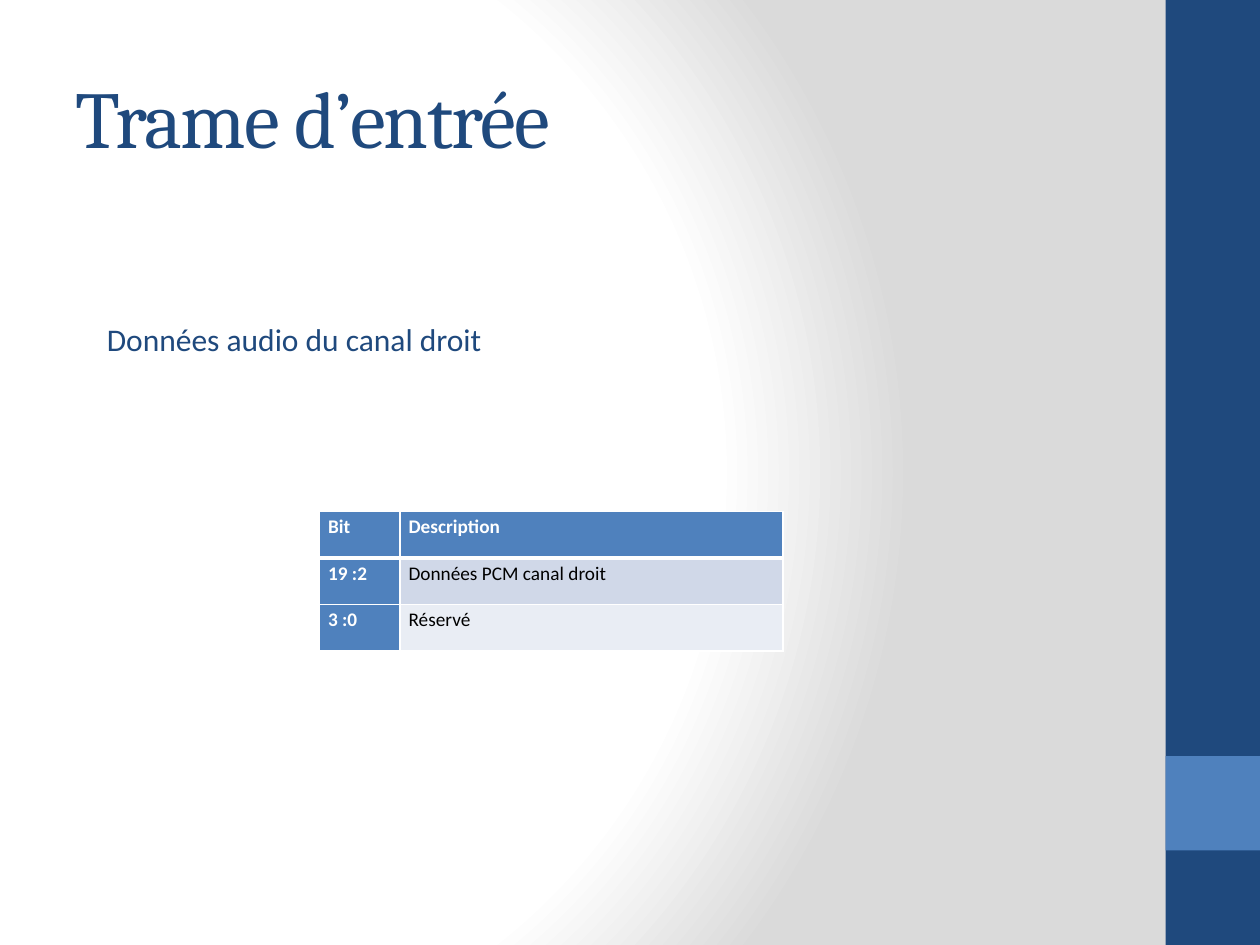
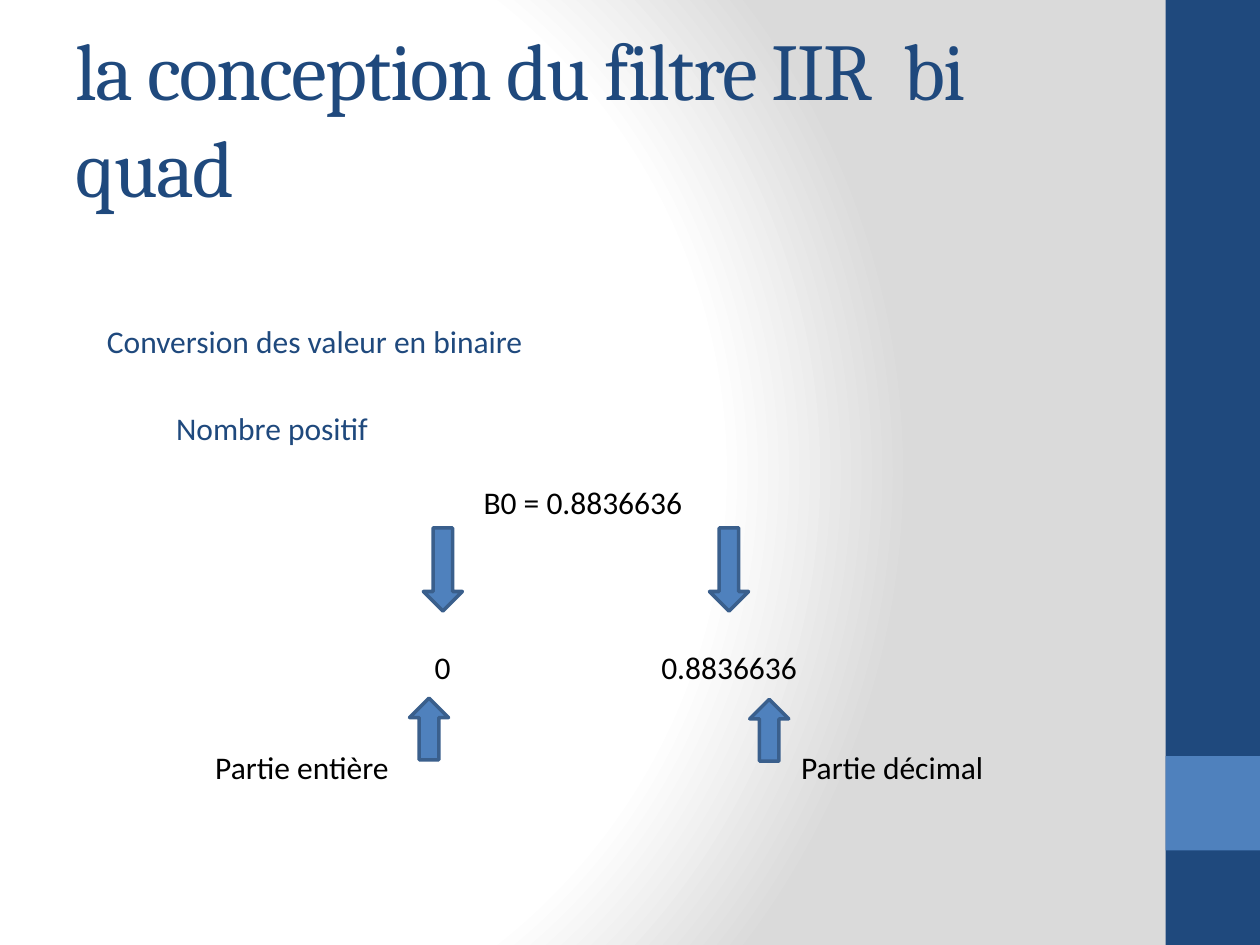
from pptx import Presentation
from pptx import oxml as ox
from pptx.dml.color import RGBColor
from pptx.enum import shapes as sh, text as tx
from pptx.oxml import ns
from pptx.util import Pt

NAVY = RGBColor(0x1F, 0x49, 0x7D)
BLUE = RGBColor(0x4F, 0x81, 0xBD)
EDGE = RGBColor(0x3A, 0x5F, 0x8C)
PALE = RGBColor(0xD0, 0xD8, 0xE8)
MIST = RGBColor(0xE9, 0xED, 0xF4)
WHITE = RGBColor(0xFF, 0xFF, 0xFF)
BLACK = RGBColor(0, 0, 0)
GREY = RGBColor(0xDA, 0xDA, 0xDA)


def add_run(para, words, size, color, font="Calibri", bold=False):
    run = para.add_run()
    run.text = words
    run.font.size = Pt(size)
    run.font.name = font
    run.font.bold = bold
    run.font.color.rgb = color
    return run


def add_block(page, kind, box, fill):
    block = page.shapes.add_shape(kind, *[Pt(n) for n in box])
    block.shadow.inherit = False
    block.fill.solid()
    block.fill.fore_color.rgb = fill
    block.line.fill.background()
    return block


prs = Presentation()
prs.slide_width, prs.slide_height = Pt(720), Pt(540)
master = prs.slide_master
layout = prs.slide_layouts[5]

master.background.fill.solid()
back = master.background.element.find(".//" + ns.qn("p:bgPr"))
stops = "".join(
    f'<a:gs pos="{spot * 1000}"><a:srgbClr val="{tone}"/></a:gs>'
    for spot, tone in [(0, WHITE), (75, WHITE), (100, GREY)]
)
back.replace(back[0], ox.parse_xml(
    f'<a:gradFill {ns.nsdecls("a")} rotWithShape="1"><a:gsLst>{stops}</a:gsLst>'
    '<a:path path="circle"><a:fillToRect l="20000" t="50000" r="100000" b="50000"/>'
    "</a:path></a:gradFill>"
))

head = layout.placeholders[0]
head.left, head.top, head.width, head.height = Pt(36), Pt(21.6), Pt(600), Pt(90)

pages = []
for words in ["Trame d’entrée", "la conception du filtre IIR  bi quad"]:
    page = prs.slides.add_slide(layout)
    frame = page.shapes.title.text_frame
    frame.auto_size = tx.MSO_AUTO_SIZE.NONE
    frame.vertical_anchor = tx.MSO_ANCHOR.MIDDLE
    para = frame.paragraphs[0]
    para.alignment = tx.PP_ALIGN.LEFT
    run = add_run(para, words, 46, NAVY, "Cambria")
    run.font.element.set("spc", "-100") if hasattr(run.font, "element") else run._r.get_or_add_rPr().set("spc", "-100")
    pages.append(page)
frame_page, filter_page = pages

for spot, (box, fill) in enumerate([((666, 0, 54, 540), NAVY), ((666, 432, 54, 54), BLUE)]):
    band = add_block(frame_page, sh.MSO_SHAPE.RECTANGLE, box, fill)
    master.shapes.element.insert(2 + spot, band.element)

labels = [
    (frame_page, "Données audio du canal droit", 54, 179.3, 231, NAVY),
    (filter_page, "Conversion des valeur en binaire", 54, 180.7, 264, NAVY),
    (filter_page, "Nombre positif", 93.6, 230.4, 125, NAVY),
    (filter_page, "B0 = 0.8836636", 269.3, 272.2, 130, BLACK),
    (filter_page, "0", 241.2, 366.5, 24, BLACK),
    (filter_page, "0.8836636", 370.8, 366.5, 93, BLACK),
    (filter_page, "Partie entière", 115.9, 424, 115, BLACK),
    (filter_page, "Partie décimal", 450.7, 424, 120, BLACK),
]
for page, words, left, top, width, color in labels:
    label = page.shapes.add_textbox(Pt(left), Pt(top), Pt(width), Pt(29))
    label.text_frame.word_wrap = False
    label.text_frame.auto_size = tx.MSO_AUTO_SIZE.SHAPE_TO_FIT_TEXT
    add_run(label.text_frame.paragraphs[0], words, 18, color)

rows = [("Bit", "Description"), ("19\u00a0:2".replace("\u00a0", " "), "Données PCM canal droit"), ("3 :0", "Réservé")]
grid = frame_page.shapes.add_table(3, 2, Pt(182.5), Pt(292.3), Pt(265), Pt(80)).table
for col, width in zip(grid.columns, (46, 219)):
    col.width = Pt(width)
for r, row in enumerate(rows):
    grid.rows[r].height = Pt(26.6)
    for c, words in enumerate(row):
        cell = grid.cell(r, c)
        key = r == 0 or c == 0
        cell.margin_left = cell.margin_right = Pt(5)
        cell.margin_top = cell.margin_bottom = Pt(0)
        cell.fill.solid()
        cell.fill.fore_color.rgb = BLUE if key else (PALE, MIST)[r - 1]
        para = cell.text_frame.paragraphs[0]
        para.line_spacing = 1.15
        add_run(para, words, 11, WHITE if key else BLACK, bold=key)
        props = cell._tc.get_or_add_tcPr()
        for spot, side in enumerate("LRTB"):
            thick = (r, side) in [(0, "B"), (1, "T")]
            props.insert(spot, ox.parse_xml(
                f'<a:ln{side} {ns.nsdecls("a")} w="{Pt(3 if thick else 1)}">'
                f'<a:solidFill><a:srgbClr val="{WHITE}"/></a:solidFill></a:ln{side}>'
            ))

DOWN, UP = sh.MSO_SHAPE.DOWN_ARROW, sh.MSO_SHAPE.UP_ARROW
for kind, left, top, tall in [
    (DOWN, 405.4, 301.7, 47.5),
    (DOWN, 241.9, 301.7, 47.5),
    (UP, 234, 398.9, 35.3),
    (UP, 428.4, 399.6, 35.3),
]:
    arrow = add_block(filter_page, kind, (left, top, 22.3, tall), BLUE)
    arrow.line.color.rgb = EDGE
    arrow.line.width = Pt(2)

prs.save("out.pptx")
